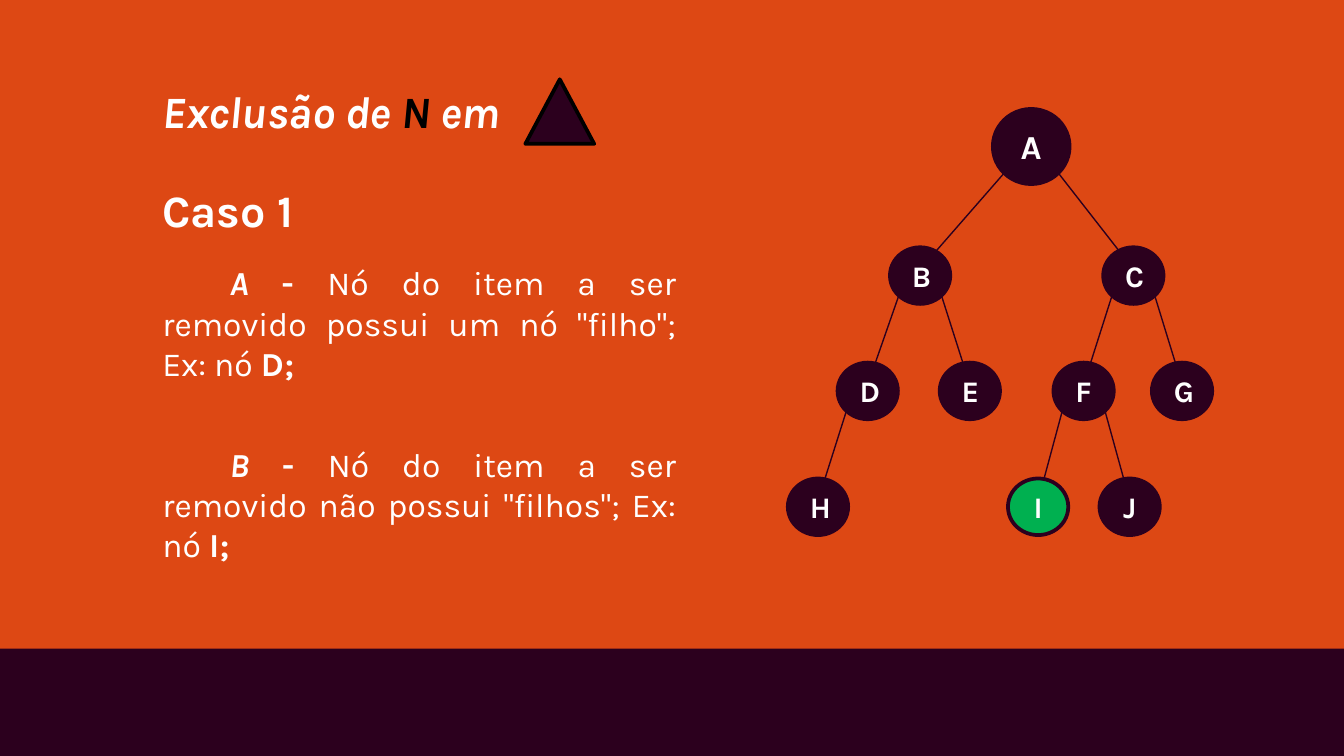
from math import sqrt

from lxml import etree
from pptx import Presentation
from pptx.dml.color import RGBColor
from pptx.enum import shapes, text
from pptx.oxml.ns import qn
from pptx.util import Cm, Pt

COLORS = {"orange": "DD4814", "plum": "2C001E", "green": "00B050",
          "white": "FFFFFF", "black": "000000"}
FONT = "Karla"

# Text boxes: (left, top, width, height), size, alignment, runs (text, style, colour)
LEFT, JUSTIFY = text.PP_ALIGN.LEFT, text.PP_ALIGN.JUSTIFY
TEXTS = [
    ((2.82, 1.19, 9.32, 1.8), 24, LEFT,
     [("Exclusão de ", "bi", "white"), ("N", "bi", "black"), (" em", "bi", "white")]),
    ((2.82, 3.07, 8.43, 1.8), 24, LEFT, [("Caso 1", "b", "white")]),
    ((2.82, 4.83, 10.21, 2.54), 18, JUSTIFY,
     [("\tA ", "bi", "white"), ("- ", "b", "white"),
      ('Nó do item a ser removido possui um nó "filho"; Ex: nó ', "", "white"),
      ("D;", "b", "white")]),
    ((2.82, 8.26, 10.21, 2.54), 18, JUSTIFY,
     [("\tB ", "bi", "white"), ("- ", "b", "white"),
      ('Nó do item a ser removido não possui "filhos"; Ex: nó ', "", "white"),
      ("I;", "b", "white")]),
]

# Tree: node -> (level, centre x); parent -> (left child, right child)
LEVEL_Y = [2.77, 5.21, 7.39, 9.58]
NODES = {"A": (0, 19.49), "B": (1, 17.39), "C": (1, 21.42),
         "D": (2, 16.4), "E": (2, 18.33), "F": (2, 20.48), "G": (2, 22.34),
         "H": (3, 15.46), "I": (3, 19.62), "J": (3, 21.35)}
CHILDREN = {"A": "BC", "B": "DE", "C": "FG", "D": "H", "F": "IJ"}
ROOT, HIGHLIGHTED = "A", "I"
ROOT_SIZE, NODE_SIZE = (1.45, 1.42), (1.14, 1.07)
EDGE_END_RISE = 0.12  # edges end just above the child's centre


def rgb(name):
    return RGBColor.from_string(COLORS[name])


def add_figure(kind, box, fill, outline=None):
    figure = slide.shapes.add_shape(kind, *map(Cm, box))
    figure.shadow.inherit = False
    figure.fill.solid()
    figure.fill.fore_color.rgb = rgb(fill)
    if outline:
        figure.line.color.rgb = rgb(outline)
        figure.line.width = Pt(2)
    else:
        figure.line.fill.background()
    return figure


def node_size(name):
    return ROOT_SIZE if name == ROOT else NODE_SIZE


def node_center(name):
    level, x = NODES[name]
    return x, LEVEL_Y[level]


def add_edge(parent, child):
    (px, py), (cx, cy) = node_center(parent), node_center(child)
    width, height = node_size(parent)
    side = -1 if cx < px else 1
    # Start on the parent's rim, 45 degrees below the horizontal
    start = px + side * width / 2 / sqrt(2), py + height / 2 / sqrt(2)
    edge = slide.shapes.add_connector(shapes.MSO_CONNECTOR.STRAIGHT,
                                      *map(Cm, (*start, cx, cy - EDGE_END_RISE)))
    edge.line.color.rgb = rgb("plum")
    edge.line.width = Pt(0.75)
    etree.SubElement(edge._element.spPr, qn("a:effectLst"))


def add_node(name):
    (x, y), (width, height) = node_center(name), node_size(name)
    node = add_figure(shapes.MSO_SHAPE.OVAL, (x - width / 2, y - height / 2, width, height),
                      "green" if name == HIGHLIGHTED else "plum", "plum")
    node.text_frame.vertical_anchor = text.MSO_ANCHOR.MIDDLE
    label = node.text_frame.paragraphs[0]
    label.text = name
    label.alignment = text.PP_ALIGN.CENTER
    label.font.name, label.font.bold = FONT, True
    label.font.size = Pt(18 if name == ROOT else 16)
    label.font.color.rgb = rgb("white")


def add_text(box, size, alignment, runs):
    frame = slide.shapes.add_textbox(*map(Cm, box)).text_frame
    frame.word_wrap = True
    frame.vertical_anchor = text.MSO_ANCHOR.MIDDLE
    frame.margin_left = frame.margin_right = Cm(0.25)
    frame.margin_top = frame.margin_bottom = Cm(0.25)
    paragraph = frame.paragraphs[0]
    paragraph.alignment = alignment
    paragraph.font.name, paragraph.font.size = FONT, Pt(size)
    for words, style, color in runs:
        run = paragraph.add_run()
        run.text = words
        run.font.bold, run.font.italic = "b" in style, "i" in style
        run.font.color.rgb = rgb(color)


prs = Presentation()
prs.slide_width, prs.slide_height = Cm(25.4), Cm(14.29)
slide = prs.slides.add_slide(prs.slide_layouts[6])

# Background: dark band showing below the orange panel
slide.background.fill.solid()
slide.background.fill.fore_color.rgb = rgb("plum")
add_figure(shapes.MSO_SHAPE.RECTANGLE, (0, 0, 25.4, 12.26), "orange")

# Heading, cases and the triangle that stands for a tree
for entry in TEXTS:
    add_text(*entry)
add_figure(shapes.MSO_SHAPE.ISOSCELES_TRIANGLE, (9.93, 1.5, 1.3, 1.22), "plum", "black")

# Tree: edges behind nodes
for parent, children in CHILDREN.items():
    for child in children:
        add_edge(parent, child)
for name in NODES:
    add_node(name)

prs.save("out.pptx")
